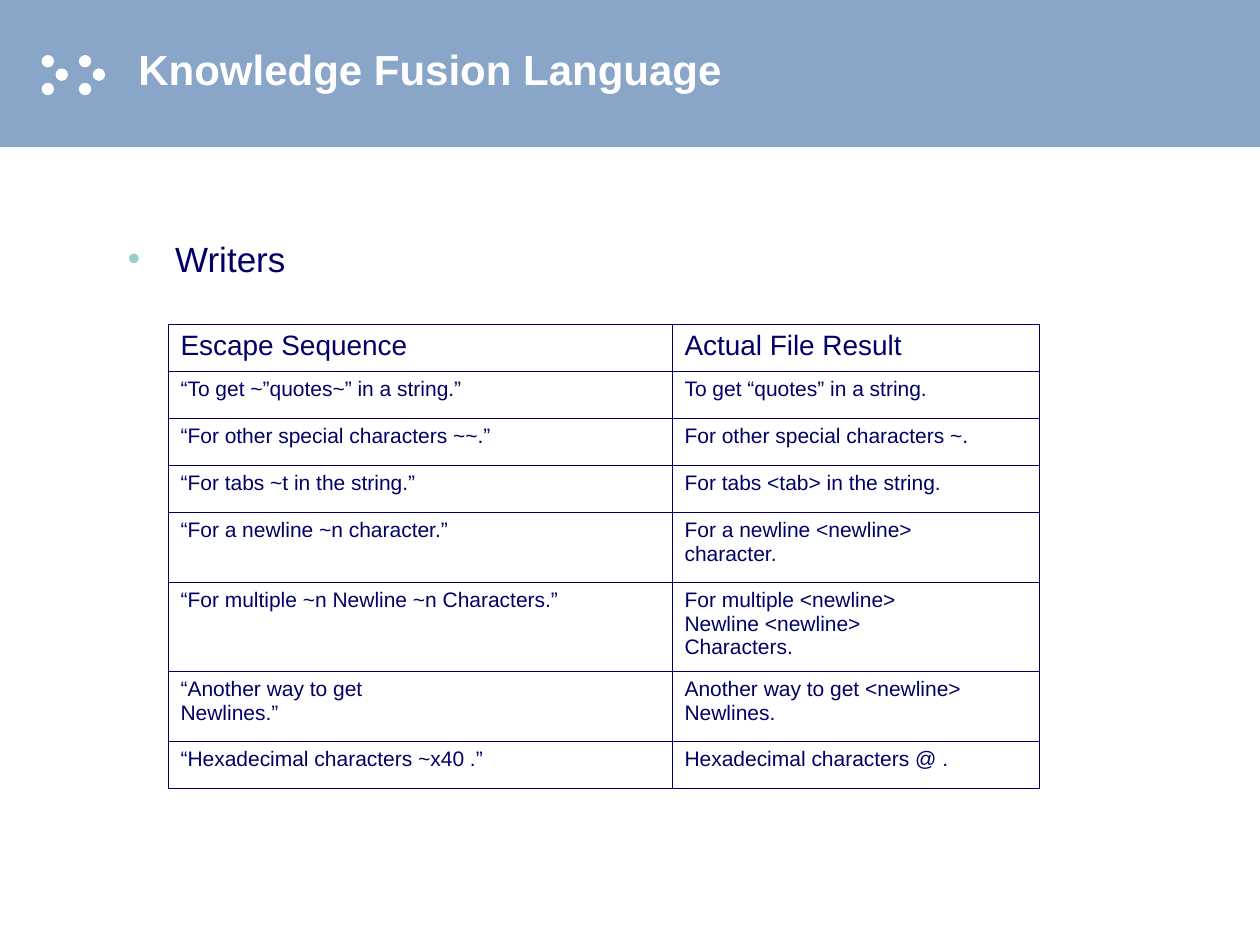
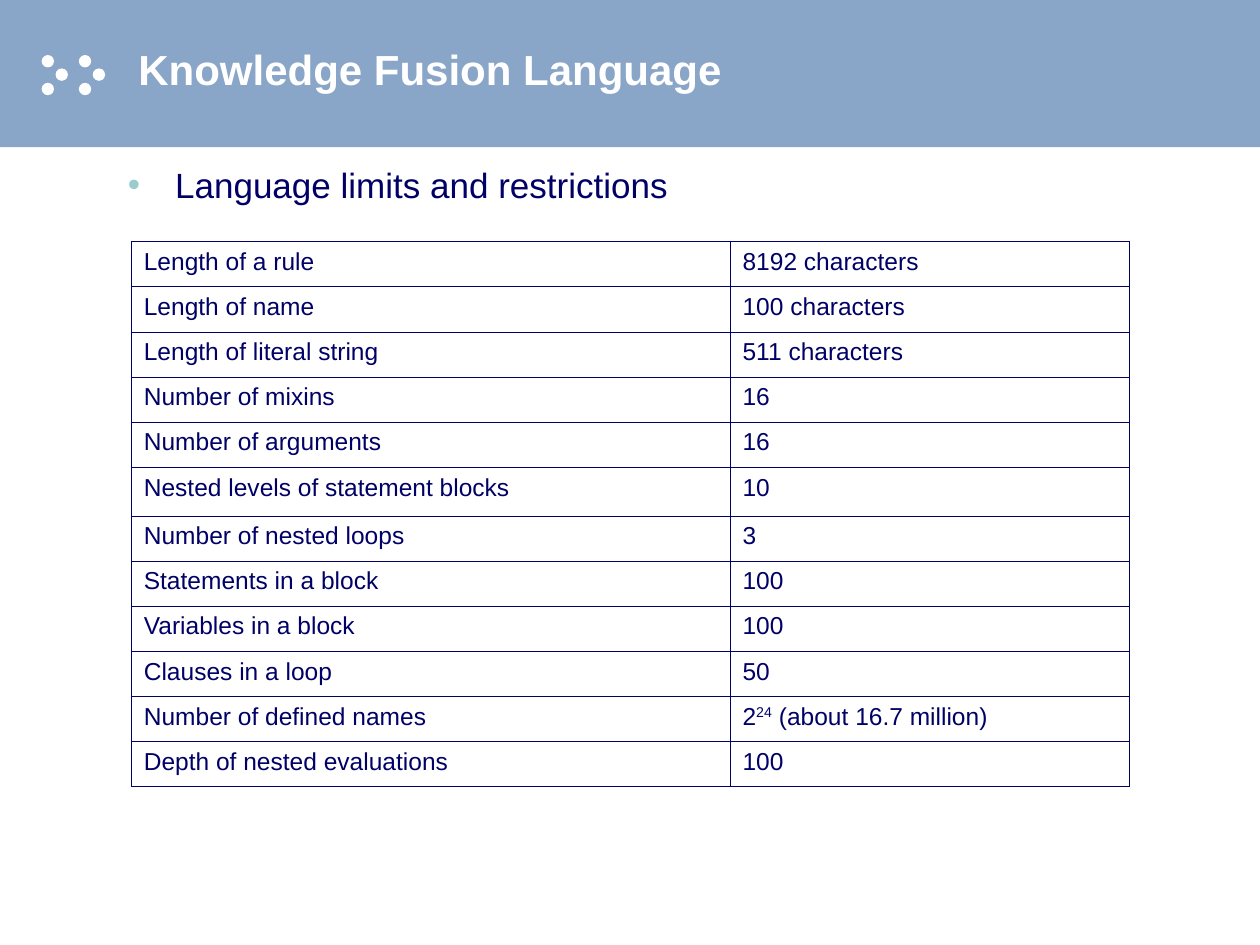
import copy

import pptx
import pptx.dml.color
import pptx.enum.shapes
import pptx.enum.text
import pptx.oxml
import pptx.oxml.ns
import pptx.util

Cm = pptx.util.Cm
Pt = pptx.util.Pt
qn = pptx.oxml.ns.qn
SHAPE = pptx.enum.shapes.MSO_SHAPE
ANCHOR = pptx.enum.text.MSO_ANCHOR
ALIGN = pptx.enum.text.PP_ALIGN
FIT = pptx.enum.text.MSO_AUTO_SIZE

HUES = {"page": "FFFFFF", "band": "89A5C7", "ink": "000066", "dot": "99CCCC", "shade": "000000"}
FRAME = {
    "word_wrap": True,
    "auto_size": FIT.NONE,
    "margin_left": Cm(0.25),
    "margin_right": Cm(0.25),
    "margin_top": Cm(0.13),
    "margin_bottom": Cm(0.13),
}
TITLE = {"name": "Arial", "size": Pt(24), "bold": True}
LIST = {"name": "Arial", "size": Pt(20), "bold": False}

ESCAPES = [
    ("Escape Sequence", "Actual File Result"),
    ("“To get ~”quotes~” in a string.”", "To get “quotes” in a string."),
    ("“For other special characters ~~.”", "For other special characters ~."),
    ("“For tabs ~t in the string.”", "For tabs <tab> in the string."),
    ("“For a newline ~n character.”", "For a newline <newline>\ncharacter."),
    ("“For multiple ~n Newline ~n Characters.”", "For multiple <newline>\nNewline <newline>\nCharacters."),
    ("“Another way to get\nNewlines.”", "Another way to get <newline>\nNewlines."),
    ("“Hexadecimal characters ~x40 .”", "Hexadecimal characters @ ."),
]
LIMITS = [
    ("Length of a rule", "8192 characters"),
    ("Length of name", "100 characters"),
    ("Length of literal string", "511 characters"),
    ("Number of mixins", "16"),
    ("Number of arguments", "16"),
    ("Nested levels of statement blocks", "10"),
    ("Number of nested loops", "3"),
    ("Statements in a block", "100"),
    ("Variables in a block", "100"),
    ("Clauses in a loop", "50"),
    ("Number of defined names", "2^24^ (about 16.7 million)"),
    ("Depth of nested evaluations", "100"),
]


def apply(target, values):
    for key, value in values.items():
        setattr(target, key, value)


def color(name):
    return pptx.dml.color.RGBColor.from_string(HUES[name])


def node(text):
    space = 'xmlns:a="http://schemas.openxmlformats.org/drawingml/2006/main"'
    return pptx.oxml.parse_xml(text.replace(">", f" {space}>", 1))


class Deck:
    def __init__(self):
        self.show = pptx.Presentation()
        self.show.slide_width, self.show.slide_height = Cm(25.4), Cm(19.05)
        self.layout = self.show.slide_layouts[1]
        self.slide = None

    def start(self, title, point, top):
        self.slide = self.show.slides.add_slide(self.layout)
        if len(self.show.slides) == 1:
            self.base()
        self.title(title)
        self.bullet(point, top)

    def base(self):
        fill = self.layout.background.fill
        fill.solid()
        fill.fore_color.rgb = color("band")
        self.shape(SHAPE.RECTANGLE, "page", 0, 0, 25.4, 19.05, 0)
        self.shape(SHAPE.RECTANGLE, "band", 0, 0, 25.4, 2.97, 1)
        dots = [(left + step, top) for left in (0.84, 1.59)
                for step, top in ((0, 1.11), (0.28, 1.38), (0, 1.67))]
        for rank, (left, top) in enumerate(dots, 2):
            self.shape(SHAPE.OVAL, "page", left, top, 0.25, 0.25, rank)

    def shape(self, kind, hue, left, top, width, height, rank):
        shape = self.slide.shapes.add_shape(kind, Cm(left), Cm(top), Cm(width), Cm(height))
        shape.shadow.inherit = False
        shape.fill.solid()
        shape.fill.fore_color.rgb = color(hue)
        shape.line.fill.background()
        shape._element.nvSpPr.cNvPr.id = 20 + rank
        self.layout.shapes._spTree.insert(2 + rank, shape._element)

    def place(self, shape, left, top, width, height):
        apply(shape, {"left": Cm(left), "top": Cm(top), "width": Cm(width), "height": Cm(height)})
        apply(shape.text_frame, FRAME)
        return shape.text_frame.paragraphs[0]

    def words(self, para, text, style, hue):
        for rank, part in enumerate(text.split("^")):
            for index, line in enumerate(part.split("\n")):
                if index:
                    para.add_line_break()
                run = para.add_run()
                run.text = line
                apply(run.font, style)
                run.font.color.rgb = color(hue)
                if rank % 2:
                    run.font._element.set("baseline", "30000")
        look = para.runs[0].font._element
        for gap in para._p.findall(qn("a:br")):
            gap.insert(0, copy.deepcopy(look))

    def title(self, text):
        shape = self.slide.shapes.title
        para = self.place(shape, 2.54, 0, 22.86, 2.75)
        shape.text_frame.vertical_anchor = ANCHOR.MIDDLE
        para.alignment = ALIGN.LEFT
        self.words(para, text, TITLE, "page")
        shade = node('<a:effectLst><a:outerShdw dist="17961" dir="2700000">'
                     f'<a:srgbClr val="{HUES["shade"]}"/></a:outerShdw></a:effectLst>')
        para.runs[0].font._element.find(qn("a:solidFill")).addnext(shade)

    def bullet(self, text, top):
        shape = self.slide.placeholders[1]
        para = self.place(shape, 2.33, top, 20.75, 11.43)
        shape.text_frame.vertical_anchor = ANCHOR.TOP
        para.space_before = Pt(0)
        props = para._p.get_or_add_pPr()
        props.set("marL", str(Cm(0.95)))
        props.set("indent", str(-Cm(0.95)))
        for mark in (f'<a:buClr><a:srgbClr val="{HUES["dot"]}"/></a:buClr>',
                     '<a:buFont typeface="Arial"></a:buFont>', '<a:buChar char="•"></a:buChar>'):
            props.append(node(mark))
        self.words(para, text, LIST, "ink")

    def table(self, rows, left, top, widths, heights, sizes):
        frame = self.slide.shapes.add_table(len(rows), len(widths), Cm(left), Cm(top),
                                            Cm(sum(widths)), Cm(sum(heights)))
        grid = frame.table
        grid.first_row = grid.horz_banding = False
        for column, width in zip(grid.columns, widths):
            column.width = Cm(width)
        for index, (row, height, size) in enumerate(zip(rows, heights, sizes)):
            grid.rows[index].height = Cm(height)
            for place, text in enumerate(row):
                self.cell(grid.cell(index, place), text, size)

    def cell(self, cell, text, size):
        apply(cell, {key: value for key, value in FRAME.items() if key.startswith("margin")})
        cell.vertical_anchor = ANCHOR.TOP
        style = {"name": "Arial", "size": Pt(size), "bold": False}
        self.words(cell.text_frame.paragraphs[0], text, style, "ink")
        props = cell._tc.get_or_add_tcPr()
        for side in "LRTB":
            props.append(node(f'<a:ln{side} w="{Pt(0.45)}"><a:solidFill>'
                              f'<a:srgbClr val="{HUES["ink"]}"/></a:solidFill></a:ln{side}>'))
        cell.fill.background()


def main():
    deck = Deck()
    name = "Knowledge Fusion Language"
    deck.start(name, "Writers", 4.66)
    deck.table(ESCAPES, 3.39, 6.53, (10.16, 7.41),
               [0.95] * 4 + [1.41, 1.79, 1.41, 0.95], [16] + [12] * 7)
    deck.start(name, "Language limits and restrictions", 3.17)
    deck.table(LIMITS, 2.65, 4.87, (12.07, 8.04),
               [0.91] * 5 + [0.98] + [0.91] * 6, [14] * 12)
    deck.show.save("out.pptx")


if __name__ == "__main__":
    main()
